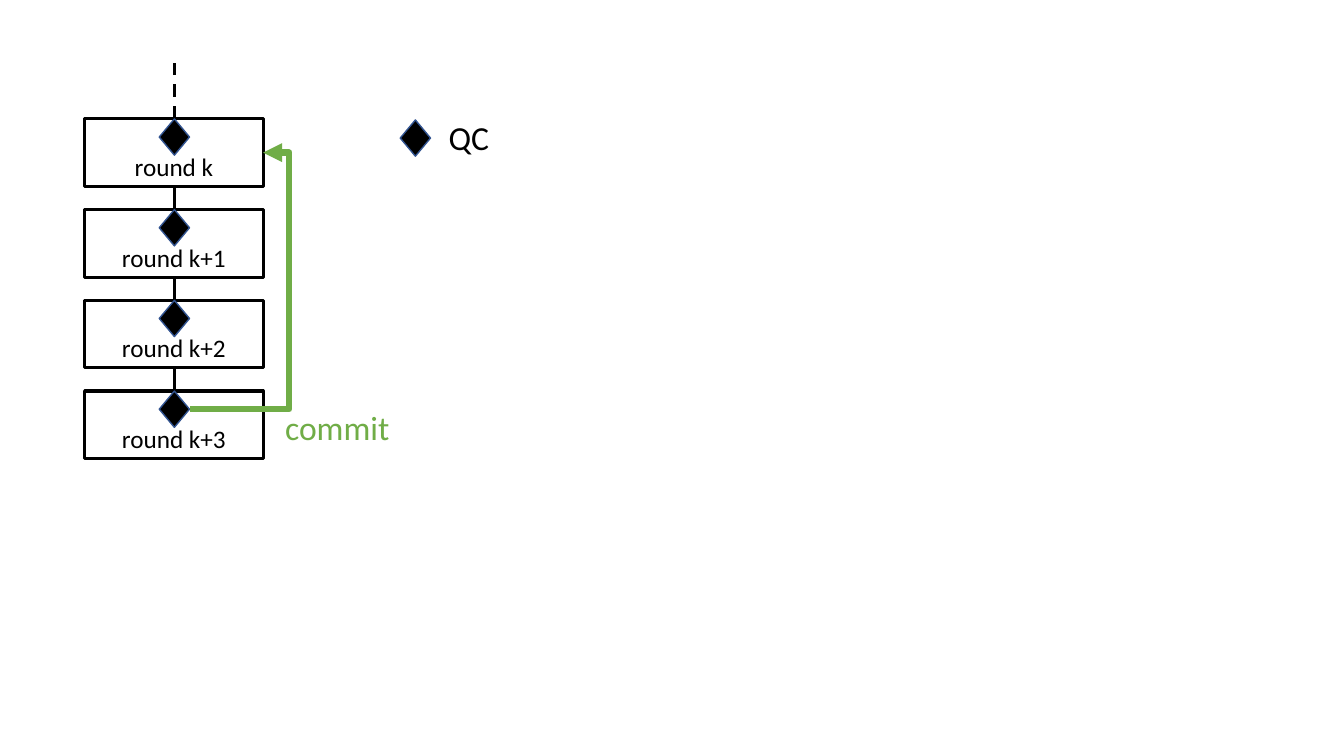
from pptx import Presentation
from pptx.dml.color import RGBColor
from pptx.enum.dml import MSO_LINE as Dash
from pptx.enum.shapes import MSO_CONNECTOR as Conn, MSO_SHAPE as Kind
from pptx.enum.text import MSO_ANCHOR as Anchor, PP_ALIGN as Align
from pptx.oxml.ns import qn
from pptx.util import Inches, Pt
from lxml.etree import SubElement

ROUNDS = ["round k", "round k+1", "round k+2", "round k+3"]
LABELS = [("commit", 2.73, 3.99, 1.24, "green"), ("QC", 4.35, 1.11, 0.62, "black")]
COLORS = {"black": "000000", "green": "70AD47", "edge": "325491"}
FONT = "Calibri"

LEFT, TOP, STEP = 0.84, 1.18, 0.9
WIDTH, HEIGHT = 1.77, 0.67
MID = 1.73
GEM_W, GEM_H = 0.3, 0.36

deck = Presentation()
deck.slide_width, deck.slide_height = Inches(13.33), Inches(7.5)
slide = deck.slides.add_slide(deck.slide_layouts[6])
shapes = slide.shapes


def color(name):
    return RGBColor.from_string(COLORS[name])


def write(shape, text, size=18, ink="black", align=Align.LEFT, anchor=Anchor.TOP):
    frame = shape.text_frame
    frame.word_wrap = True
    frame.vertical_anchor = anchor
    para = frame.paragraphs[0]
    para.alignment = align
    run = para.add_run()
    run.text = text
    run.font.name, run.font.size = FONT, Pt(size)
    run.font.color.rgb = color(ink)


def block(kind, x, y, w, h, fill=None, edge="black", weight=2.25):
    shape = shapes.add_shape(kind, *map(Inches, (x, y, w, h)))
    shape.shadow.inherit = False
    if fill:
        shape.fill.solid()
        shape.fill.fore_color.rgb = color(fill)
    else:
        shape.fill.background()
    shape.line.color.rgb = color(edge)
    shape.line.width = Pt(weight)
    return shape


def gem(x, y):
    """Draw the diamond that stands for a QC."""
    block(Kind.DIAMOND, x, y, GEM_W, GEM_H, "black", "edge", 1)


def link(start, end, kind=Conn.STRAIGHT, ink="black", weight=2.25):
    line = shapes.add_connector(kind, *map(Inches, start + end))
    line.line.color.rgb = color(ink)
    line.line.width = Pt(weight)
    SubElement(line._element.spPr, qn("a:effectLst"))
    return line


tops = [TOP + i * STEP for i in range(len(ROUNDS))]
for name, y in zip(ROUNDS, tops):
    box = block(Kind.RECTANGLE, LEFT, y, WIDTH, HEIGHT)
    write(box, name, align=Align.CENTER, anchor=Anchor.BOTTOM)
for y in tops[1:]:
    link((MID, y), (MID, y - STEP + HEIGHT))
link((MID, TOP), (MID, 0.62)).line.dash_style = Dash.DASH
for y in tops:
    gem(MID - GEM_W / 2, y)

for text, x, y, w, ink in LABELS:
    label = shapes.add_textbox(*map(Inches, (x, y, w, 0.5)))
    write(label, text, size=24, ink=ink)
gem(3.97, 1.19)

# The commit arrow runs out past the boxes, then turns back to the first one.
start, end, bend = (MID + GEM_W / 2, tops[-1] + GEM_H / 2), (LEFT + WIDTH, TOP + HEIGHT / 2), 2.87
commit = link(start, end, Conn.ELBOW, "green", 4.5)
ratio = (bend - start[0]) / (end[0] - start[0])
guides = commit._element.spPr.find(qn("a:prstGeom")).get_or_add_avLst()
SubElement(guides, qn("a:gd"), name="adj1", fmla=f"val {round(ratio * 100000)}")
SubElement(commit.line._get_or_add_ln(), qn("a:tailEnd"), type="triangle")

deck.save("out.pptx")
